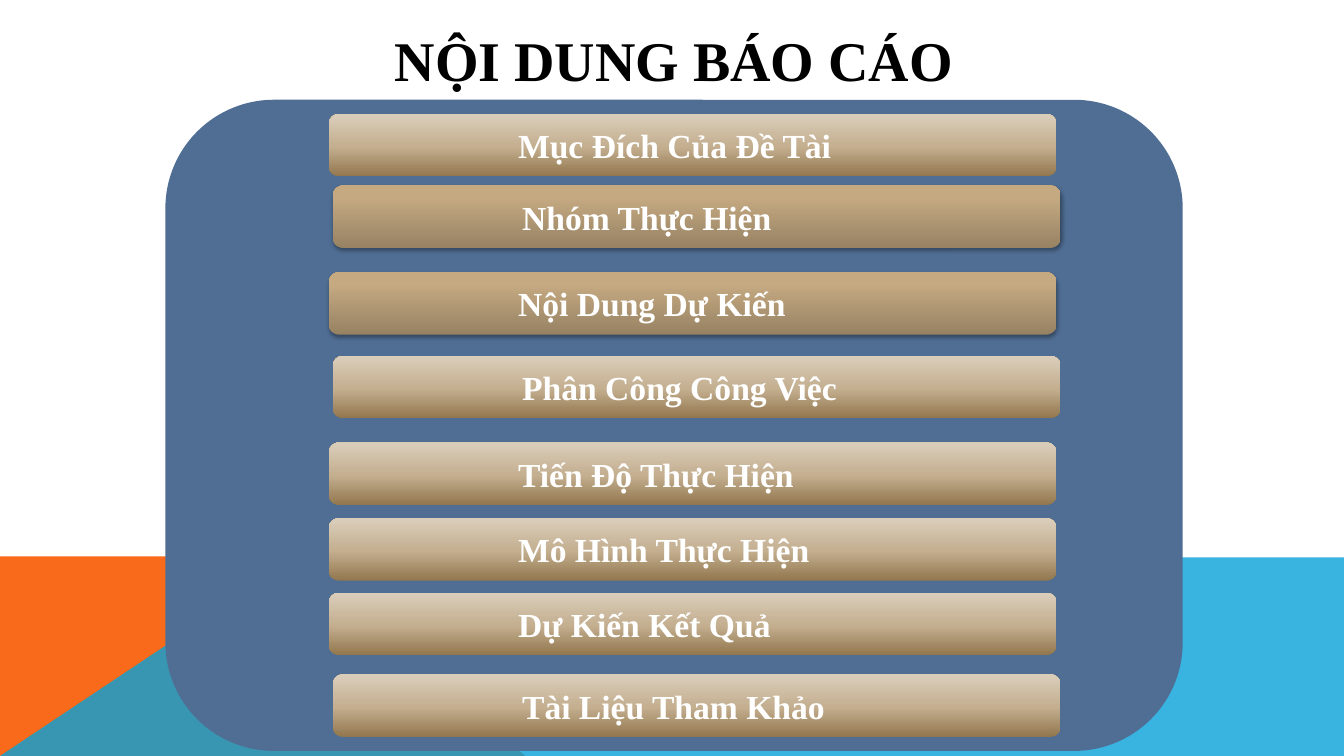
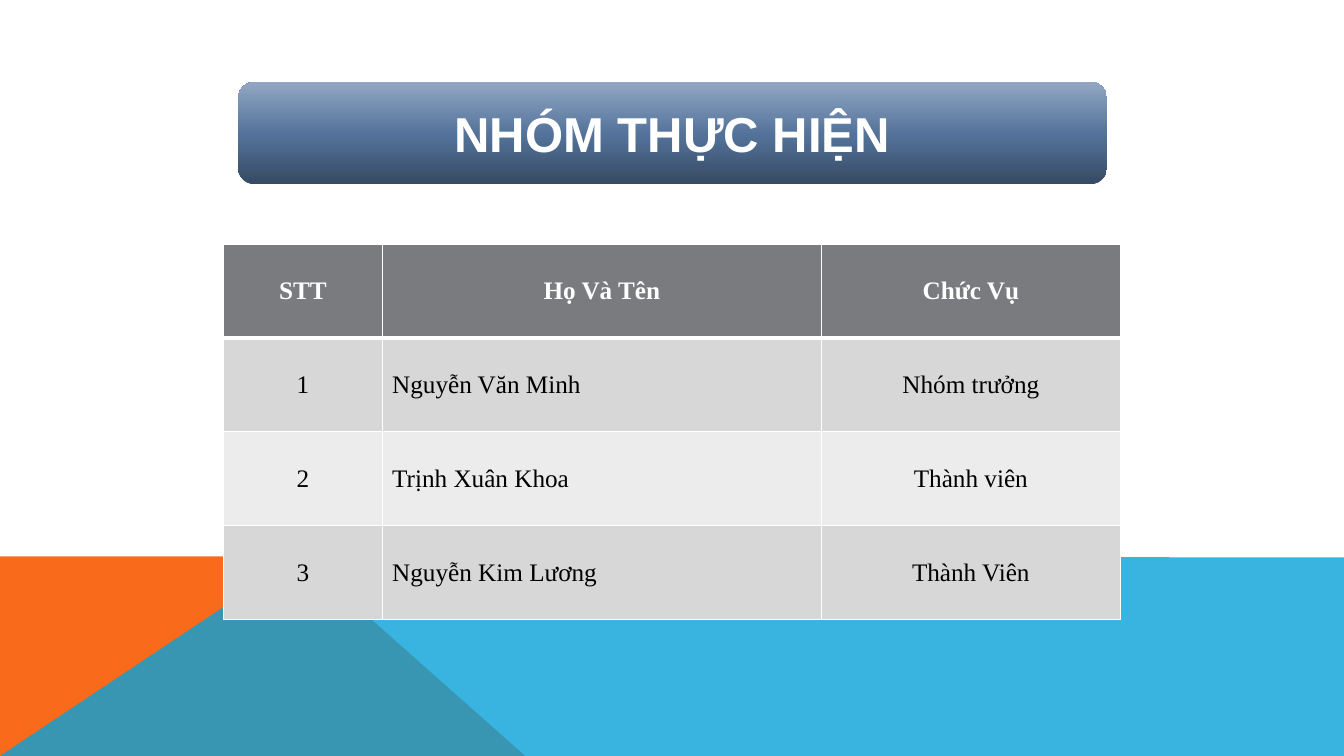
"""Build two slides of a project report: the agenda and the team table."""
from dataclasses import dataclass

from lxml import etree
from pptx import Presentation
from pptx.dml.color import RGBColor
from pptx.enum.shapes import MSO_SHAPE
from pptx.enum.text import MSO_ANCHOR, PP_ALIGN
from pptx.oxml.ns import qn
from pptx.util import Pt

PX = 9144
ROUND = MSO_SHAPE.ROUNDED_RECTANGLE
MIDDLE = MSO_ANCHOR.MIDDLE
LEFT, CENTER = PP_ALIGN.LEFT, PP_ALIGN.CENTER


@dataclass(frozen=True)
class Theme:
    serif: str = "Times New Roman"
    sans: str = "Arial"
    black: str = "000000"
    white: str = "FFFFFF"
    orange: str = "F96A1B"
    sky: str = "08A1D9"
    panel: str = "506E94"
    header: str = "797B7E"
    rows: tuple = ("D7D7D8", "ECECEC")
    sand: tuple = ((0, "92774E"), (48, "C4AF90"), (100, "DACEBB"))
    tan: tuple = ((0, "978263"), (80, "C4A981"), (100, "C6AA80"))
    navy: tuple = ((0, "364A63"), (48, "537299"), (100, "91A7C4"))
    title: int = 40
    banner: int = 35
    item: int = 24
    cell: int = 18


theme = Theme()


def write(tf, text, size, color, font=theme.serif, bold=True, align=CENTER):
    tf.word_wrap = True
    p = tf.paragraphs[0]
    p.text = text
    p.alignment = align
    p.font.name = font
    p.font.size = Pt(size)
    p.font.bold = bold
    p.font.color.rgb = RGBColor.from_string(color)
    return p


def add_bar(s, left, top, width, height, stops):
    sp = s.shapes.add_shape(ROUND, left * PX, top * PX, width * PX, height * PX)
    sp.shadow.inherit = False
    sp.line.fill.background()
    sp.fill.gradient()
    sp.fill.gradient_angle = 90
    gs_list = sp._element.spPr.find(qn("a:gradFill")).find(qn("a:gsLst"))
    for gs in list(gs_list):
        gs_list.remove(gs)
    for pos, color in stops:
        gs = etree.SubElement(gs_list, qn("a:gs"), pos=str(pos * 1000))
        etree.SubElement(gs, qn("a:srgbClr"), val=color)
    sp.text_frame.vertical_anchor = MIDDLE
    return sp


prs = Presentation()
prs.slide_width, prs.slide_height = 1333 * PX, 750 * PX
blank = prs.slide_layouts[6]
agenda = prs.slides.add_slide(blank)
team = prs.slides.add_slide(blank)

bands = [
    ([(0, 750), (0, 552), (298, 552), (521, 750)], theme.orange, 100),
    ([(0, 750), (297, 552), (1333, 553), (1333, 750)], theme.sky, 80),
]
for points, color, opacity in bands:
    builder = agenda.shapes.build_freeform(*points[0], scale=PX)
    builder.add_line_segments(points[1:], close=True)
    sp = builder.convert_to_shape()
    sp.shadow.inherit = False
    sp.line.fill.background()
    sp.fill.solid()
    sp.fill.fore_color.rgb = RGBColor.from_string(color)
    if opacity < 100:
        clr = sp._element.spPr.find(qn("a:solidFill"))[0]
        etree.SubElement(clr, qn("a:alpha"), val=str(opacity * 1000))
    blank.shapes._spTree.append(sp._element)

title = agenda.shapes.add_textbox(127 * PX, 13 * PX, 1083 * PX, 92 * PX)
title.text_frame.vertical_anchor = MIDDLE
write(title.text_frame, "NỘI DUNG BÁO CÁO", theme.title, theme.black)

panel = agenda.shapes.add_shape(ROUND, 164 * PX, 99 * PX, 1009 * PX, 646 * PX)
panel.shadow.inherit = False
panel.line.fill.background()
panel.fill.solid()
panel.fill.fore_color.rgb = RGBColor.from_string(theme.panel)

items = [
    ("Mục Đích Của Đề Tài", 326, 113, False),
    ("Nhóm Thực Hiện", 330, 184, True),
    ("Nội Dung Dự Kiến", 326, 270, True),
    ("Phân Công Công Việc", 330, 353, False),
    ("Tiến Độ Thực Hiện", 326, 439, False),
    ("Mô Hình Thực Hiện", 326, 514, False),
    ("Dự Kiến Kết Quả", 326, 588, False),
    ("Tài Liệu Tham Khảo", 330, 669, False),
]
for text, left, top, raised in items:
    bar = add_bar(agenda, left, top, 722, 62, theme.tan if raised else theme.sand)
    p = write(bar.text_frame, text, theme.item, theme.white, align=LEFT)
    p._p.get_or_add_pPr().set("indent", str(175 * PX))
    if raised:
        effects = bar._element.spPr.find(qn("a:effectLst"))
        shadow = etree.SubElement(
            effects, qn("a:outerShdw"), blurRad=str(Pt(3.1)), dist=str(Pt(1.8)),
            dir="5400000", rotWithShape="0")
        clr = etree.SubElement(shadow, qn("a:srgbClr"), val=theme.black)
        etree.SubElement(clr, qn("a:alpha"), val="35000")

banner = add_bar(team, 236, 81, 862, 102, theme.navy)
write(banner.text_frame, "NHÓM THỰC HIỆN", theme.banner, theme.white, theme.sans)

members = [
    ("STT", "Họ Và Tên", "Chức Vụ"),
    ("1", "Nguyễn Văn Minh", "Nhóm trưởng"),
    ("2", "Trịnh Xuân Khoa", "Thành viên"),
    ("3", "Nguyễn Kim Lương", "Thành Viên"),
]
widths = [157, 436, 296]
table = team.shapes.add_table(
    len(members), len(widths), 222 * PX, 242 * PX, sum(widths) * PX, 373 * PX).table
for column, width in zip(table.columns, widths):
    column.width = width * PX
for i, row in enumerate(members):
    head = i == 0
    fill = theme.header if head else theme.rows[(i - 1) % 2]
    edges = {"L": 1, "R": 1, "T": 3 if i == 1 else 1, "B": 3 if head else 1}
    for j, text in enumerate(row):
        cell = table.cell(i, j)
        cell.vertical_anchor = MIDDLE
        tc_pr = cell._tc.get_or_add_tcPr()
        for side, weight in edges.items():
            ln = etree.SubElement(tc_pr, qn(f"a:ln{side}"), w=str(Pt(weight)))
            solid = etree.SubElement(ln, qn("a:solidFill"))
            etree.SubElement(solid, qn("a:srgbClr"), val=theme.white)
        cell.fill.solid()
        cell.fill.fore_color.rgb = RGBColor.from_string(fill)
        write(cell.text_frame, text, theme.cell, theme.white if head else theme.black,
              bold=head, align=LEFT if j == 1 and not head else CENTER)

prs.save("out.pptx")
